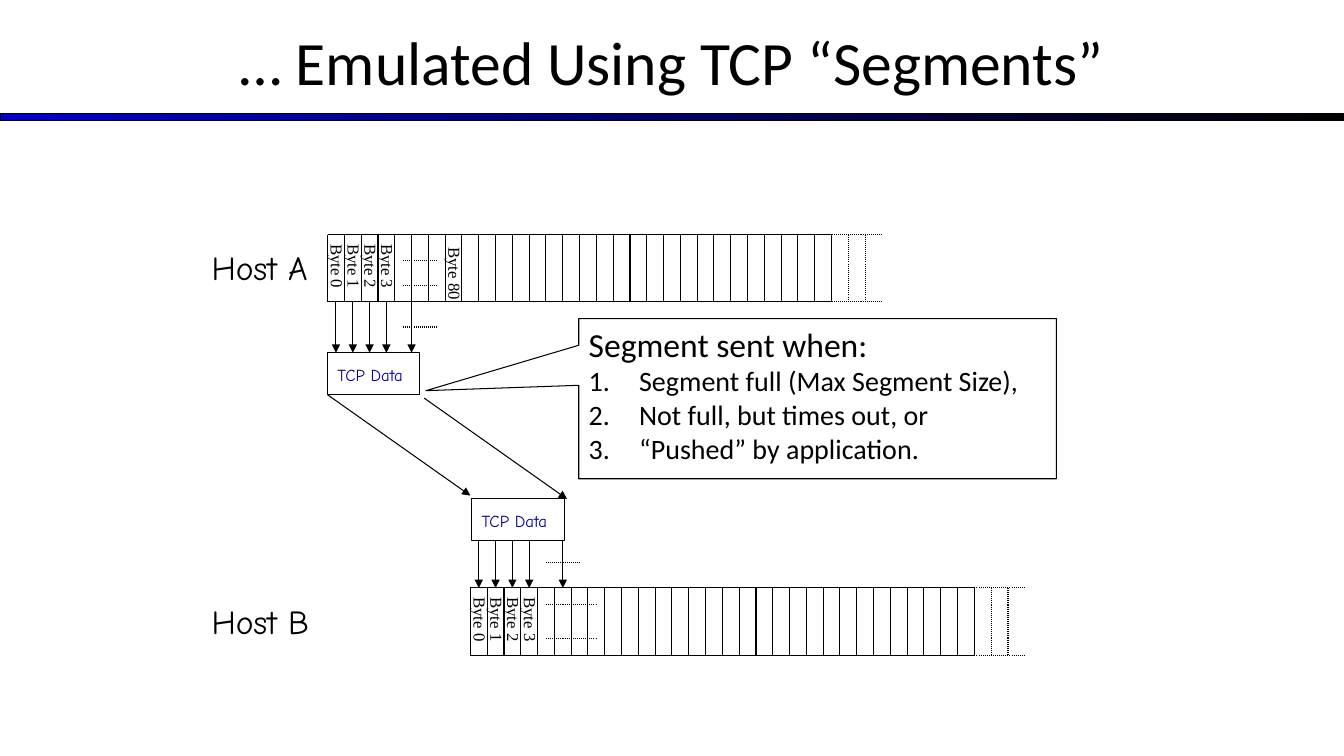
import pptx
import pptx.dml.color
import pptx.enum.dml
import pptx.enum.shapes
import pptx.enum.text
import pptx.oxml.ns
import pptx.util
from lxml import etree

Pt = pptx.util.Pt
color = pptx.dml.color.RGBColor.from_string
qn = pptx.oxml.ns.qn
shape_types = pptx.enum.shapes.MSO_SHAPE

deck = pptx.Presentation()
deck.slide_width = Pt(960)
deck.slide_height = Pt(540)
page = deck.slides.add_slide(deck.slide_layouts[6])


def add_line(x1, y1, x2, y2, dotted=False, arrow=False):
    line = page.shapes.add_connector(
        pptx.enum.shapes.MSO_CONNECTOR.STRAIGHT, Pt(x1), Pt(y1), Pt(x2), Pt(y2))
    line.line.color.rgb = color("000000")
    line.line.width = Pt(0.75)
    if dotted:
        line.line.dash_style = pptx.enum.dml.MSO_LINE.ROUND_DOT
    if arrow:
        etree.SubElement(line.line._get_or_add_ln(), qn("a:tailEnd"), type="triangle")
    etree.SubElement(line._element.spPr, qn("a:effectLst"))


def add_text(text, left, top, width, height, size, font, hex_color="000000", wrap=False):
    box = page.shapes.add_textbox(Pt(left), Pt(top), Pt(width), Pt(height))
    box.text_frame.word_wrap = wrap
    span = box.text_frame.paragraphs[0].add_run()
    span.text = text
    span.font.size = Pt(size)
    span.font.name = font
    span.font.color.rgb = color(hex_color)
    return box


cell = 12
full_cells = 30
row_height = 48
streams = [("Host A", 234, 167.6, 172.8), ("Host B", 336, 420, 425.5)]

for host, left, top, label_top in streams:
    solid_end = left + full_cells * cell
    for y in (top, top + row_height):
        add_line(left, y, solid_end, y)
        add_line(solid_end, y, solid_end + 3 * cell, y, dotted=True)
    for i in range(full_cells + 3):
        x = left + i * cell
        add_line(x, top, x, top + row_height, dotted=i > full_cells)
    byte_labels = [(f"Byte {i}", left + i * cell + 7, top + 23, 46.8) for i in range(4)]
    if host == "Host A":
        byte_labels.append(("Byte 80", left + 7.5 * cell + 1, top + 28.2, 52.6))
    for text, center_x, center_y, width in byte_labels:
        label = add_text(text, center_x - width / 2, center_y - 10.8, width, 21.6,
                         12, "Times New Roman")
        label.rotation = 89.8
    add_text(host, 144, label_top, 93, 36, 24, "Comic Neue")

for x1, x2, y in [(288, 312, 186), (288, 312, 204), (288, 312, 233.6),
                  (390, 414, 402), (390, 426, 432), (390, 426, 456)]:
    add_line(x1, y, x2, y, dotted=True)

for left, top, bottom, last_cell in [(240, 215.6, 252, 4.5), (342, 384, 420, 5)]:
    for i in (0, 1, 2, 3, last_cell):
        add_line(left + i * cell, top, left + i * cell, bottom, arrow=True)

add_line(234, 282, 336, 354, arrow=True)
add_line(303, 284.4, 405, 356.4, arrow=True)

panels = []
for kind, left, top, width, height in [
        (shape_types.RECTANGLE, 0, 81.2, 960, 5),
        (shape_types.RECTANGULAR_CALLOUT, 413.4, 227.6, 341.2, 114.4),
        (shape_types.RECTANGLE, 234, 252, 66, 30),
        (shape_types.RECTANGLE, 337, 356.2, 66, 30)]:
    panel = page.shapes.add_shape(kind, Pt(left), Pt(top), Pt(width), Pt(height))
    panel.shadow.inherit = False
    panel.fill.solid()
    panel.fill.fore_color.rgb = color("FFFFFF")
    panel.line.color.rgb = color("000000")
    panel.line.width = Pt(0.75)
    panels.append(panel)
title_bar, callout, segment_a, segment_b = panels

title_bar.fill.gradient()
title_bar.fill.gradient_angle = 0
for stop, position, hex_color in zip(title_bar.fill.gradient_stops, (0, 1), ("0000CC", "000000")):
    stop.position = position
    stop.color.rgb = color(hex_color)

title = add_text("… Emulated Using TCP “Segments”", 0, 0, 960, 87, 44, "Calibri", wrap=True)
title.text_frame.vertical_anchor = pptx.enum.text.MSO_ANCHOR.MIDDLE
title.text_frame.paragraphs[0].alignment = pptx.enum.text.PP_ALIGN.CENTER

for left, top in [(234, 257), (337, 361.4)]:
    add_text("TCP Data", left, top, 72, 21.6, 12, "Comic Neue", "000099", wrap=True)

callout.adjustments[0] = -0.82
callout.adjustments[1] = -0.05
frame = callout.text_frame
frame.word_wrap = True
frame.vertical_anchor = pptx.enum.text.MSO_ANCHOR.TOP
for i, (text, size) in enumerate([
        ("Segment sent when:", 24),
        ("Segment full (Max Segment Size),", 20),
        ("Not full, but times out, or", 20),
        ("“Pushed” by application.", 20)]):
    para = frame.add_paragraph() if i else frame.paragraphs[0]
    para.alignment = pptx.enum.text.PP_ALIGN.LEFT
    properties = para._p.get_or_add_pPr()
    properties.set("marL", str(Pt(36)))
    properties.set("indent", str(-Pt(36)))
    if i:
        etree.SubElement(properties, qn("a:buFont"), typeface="+mj-lt")
        etree.SubElement(properties, qn("a:buAutoNum"), type="arabicPeriod")
    span = para.add_run()
    span.text = text
    span.font.size = Pt(size)
    span.font.name = "Calibri"
    span.font.color.rgb = color("000000")

deck.save("out.pptx")
